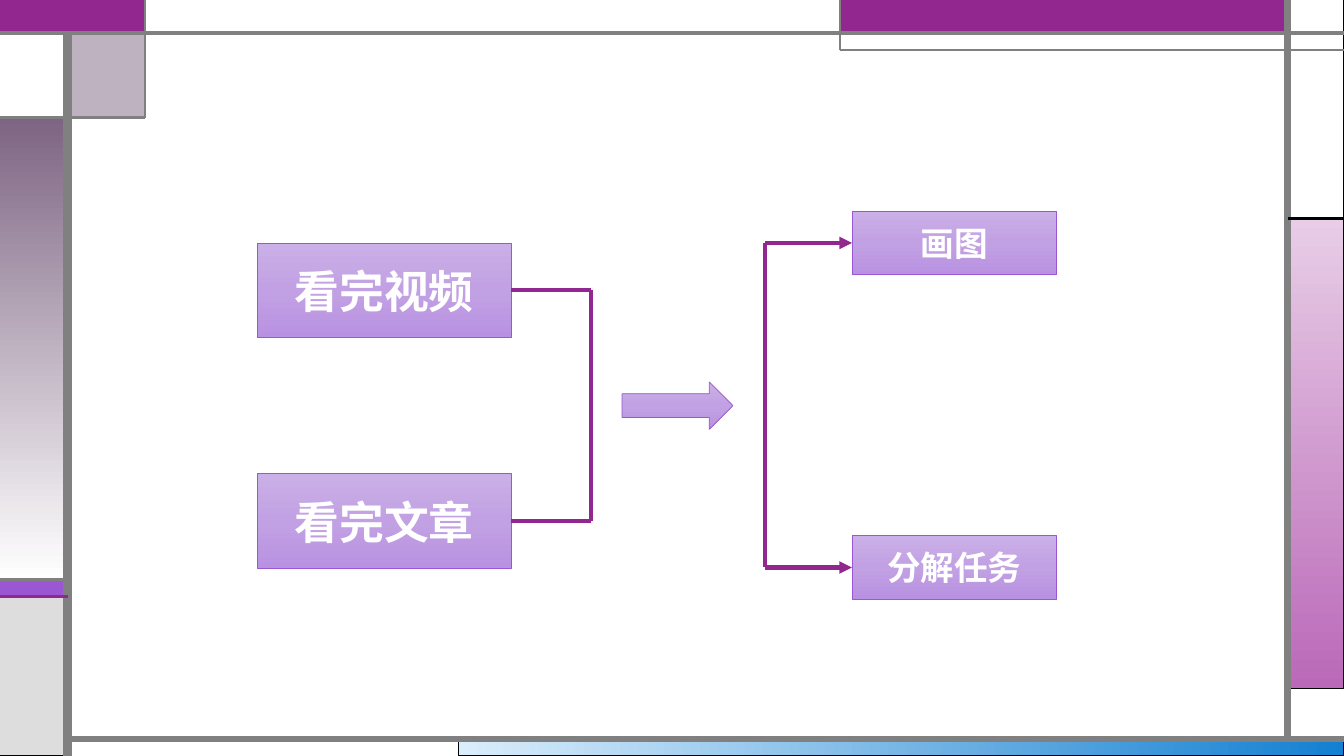
from copy import deepcopy
from dataclasses import dataclass

from lxml.etree import SubElement
from pptx import Presentation
from pptx.dml.color import RGBColor
from pptx.enum.shapes import MSO_CONNECTOR as Connector, MSO_SHAPE as Preset
from pptx.enum.text import MSO_ANCHOR as Anchor, PP_ALIGN as Align
from pptx.oxml.ns import qn
from pptx.util import Inches, Pt

FONT = "TeX Gyre Adventor"
PURPLE, GRAY, WHITE, BLACK = "92278F", "808080", "FFFFFF", "000000"
LILAC = ("CBAFE8", "C1A1E3", "B991E3")
LILAC_EDGE = "9B57D3"
WIDTH, HEIGHT = 13.33, 7.5

# Grid of the frame
LEFT_BAR, RIGHT_BAR, TOP_BAR, BOTTOM_BAR = 0.67, 12.77, 0.33, 7.33
CORNER_X, CORNER_Y, BANNER_X = 1.44, 1.17, 8.33
BAND_TOP, BAND_BOTTOM, PANEL_TOP = 5.75, 5.92, 2.17


@dataclass
class Block:
    """A filled preset shape, given by its edges; several colours form a gradient."""
    left: float
    top: float
    right: float
    bottom: float
    colors: tuple[str, ...]
    edge: str = BLACK
    edge_width: float = 0.75
    angle: int = 270
    alpha: int = 100
    preset: Preset = Preset.RECTANGLE


@dataclass
class Rule:
    """A straight line, with an optional arrowhead at its end."""
    x1: float
    y1: float
    x2: float
    y2: float
    color: str = GRAY
    width: float = 3
    arrow: bool = False


@dataclass
class Step:
    """A labelled box of the flow, placed by its vertical centre."""
    label: str
    left: float
    middle: float
    width: float
    height: float
    size: int


def rgb(color: str) -> RGBColor:
    """Turn a hex string into a colour."""
    return RGBColor.from_string(color)


def paint(shape, block: Block) -> None:
    """Fill a shape with a solid colour or an even gradient."""
    fill = shape.fill
    if len(block.colors) == 1:
        fill.solid()
        fill.fore_color.rgb = rgb(block.colors[0])
        if block.alpha < 100:
            color = next(shape._element.spPr.iter(qn("a:srgbClr")))
            SubElement(color, qn("a:alpha"), val=str(block.alpha * 1000))
        return
    fill.gradient()
    fill.gradient_angle = block.angle
    stop_list = next(shape._element.spPr.iter(qn("a:gsLst")))
    for _ in block.colors[2:]:
        stop_list.append(deepcopy(stop_list[0]))
    for index, (stop, color) in enumerate(zip(fill.gradient_stops, block.colors)):
        stop.color.rgb = rgb(color)
        stop.position = index / (len(block.colors) - 1)


def draw_block(slide, block: Block):
    """Draw a block and return its shape."""
    shape = slide.shapes.add_shape(
        block.preset, Inches(block.left), Inches(block.top),
        Inches(block.right - block.left), Inches(block.bottom - block.top))
    shape.shadow.inherit = False
    paint(shape, block)
    shape.line.color.rgb = rgb(block.edge)
    shape.line.width = Pt(block.edge_width)
    return shape


def draw_rule(slide, rule: Rule) -> None:
    """Draw a line or an arrow."""
    line = slide.shapes.add_connector(
        Connector.STRAIGHT, Inches(rule.x1), Inches(rule.y1),
        Inches(rule.x2), Inches(rule.y2))
    line.line.color.rgb = rgb(rule.color)
    line.line.width = Pt(rule.width)
    if rule.arrow:
        SubElement(line.line._get_or_add_ln(), qn("a:tailEnd"), type="triangle")
    SubElement(line._element.spPr, qn("a:effectLst"))


def draw_step(slide, step: Step) -> None:
    """Draw a lilac box with its label."""
    half = step.height / 2
    box = draw_block(slide, Block(
        step.left, step.middle - half, step.left + step.width,
        step.middle + half, LILAC, LILAC_EDGE, 0.5))
    frame = box.text_frame
    frame.word_wrap = True
    frame.vertical_anchor = Anchor.MIDDLE
    paragraph = frame.paragraphs[0]
    paragraph.text = step.label
    paragraph.alignment = Align.CENTER
    font = paragraph.font
    font.name, font.size, font.bold = FONT, Pt(step.size), True
    font.color.rgb = rgb(WHITE)


FRAME_BLOCKS = [
    Block(4.55, BOTTOM_BAR, WIDTH, HEIGHT, ("DAEDFB", "1480D1"), angle=0),
    Block(RIGHT_BAR, PANEL_TOP, WIDTH, 6.83, ("E8CDE7", "BA69B8")),
    Block(0, BAND_TOP, LEFT_BAR, BAND_BOTTOM, (LILAC_EDGE,)),
    Block(0, BAND_BOTTOM, LEFT_BAR, HEIGHT, ("DDDDDD",)),
    Block(RIGHT_BAR, 0, WIDTH, PANEL_TOP, (WHITE,)),
    Block(BANNER_X, 0, RIGHT_BAR, TOP_BAR, (PURPLE,), "755DD9"),
    Block(LEFT_BAR, TOP_BAR, CORNER_X, CORNER_Y, ("7E6583",), alpha=50),
    Block(0, CORNER_Y, LEFT_BAR, BAND_TOP, ("7E6583", WHITE)),
    Block(0, TOP_BAR, LEFT_BAR, CORNER_Y, (WHITE,)),
    Block(0, 0, CORNER_X, TOP_BAR, (PURPLE,), PURPLE, 1.5),
    Block(CORNER_X, 0, BANNER_X, TOP_BAR, (WHITE,), GRAY),
]
FRAME_RULES = [
    Rule(LEFT_BAR, HEIGHT, LEFT_BAR, TOP_BAR, width=6),
    Rule(LEFT_BAR, BOTTOM_BAR, WIDTH, BOTTOM_BAR, width=4.5),
    Rule(RIGHT_BAR, BOTTOM_BAR, RIGHT_BAR, 0, width=4.5),
    Rule(0, TOP_BAR, WIDTH, TOP_BAR),
    Rule(WIDTH, 0.5, BANNER_X, 0.5, width=1.5),
    Rule(BANNER_X, 0.5, BANNER_X, 0, width=1.5),
    Rule(RIGHT_BAR, PANEL_TOP, WIDTH, PANEL_TOP, BLACK, 2.25),
    Rule(CORNER_X, 0, CORNER_X, CORNER_Y, width=1.5),
    Rule(CORNER_X, CORNER_Y, 0, CORNER_Y, width=2.25),
    Rule(LEFT_BAR, BAND_TOP, 0, BAND_TOP, width=2.25),
    Rule(LEFT_BAR, BAND_BOTTOM, 0, BAND_BOTTOM, PURPLE, 2.25),
]
INPUTS = [Step(label, 2.55, middle, 2.52, 0.94, 32)
          for label, middle in (("看完视频", 2.88), ("看完文章", 5.17))]
OUTPUTS = [Step(label, 8.45, middle, 2.03, 0.63, 24)
           for label, middle in (("画图", 2.41), ("分解任务", 5.63))]
FLOW_ARROW = Block(6.17, 3.79, 7.27, 4.26, LILAC, LILAC_EDGE, 0.5,
                   preset=Preset.RIGHT_ARROW)


def draw_bracket(slide, steps: list[Step], spine: float, arrow: bool) -> None:
    """Join steps to an upright spine, with arrows when the spine leads to them."""
    draw_rule(slide, Rule(spine, steps[0].middle, spine, steps[-1].middle, PURPLE))
    for step in steps:
        ends = (spine, step.left) if arrow else (step.left + step.width, spine)
        draw_rule(slide, Rule(ends[0], step.middle, ends[1], step.middle,
                              PURPLE, arrow=arrow))


def main() -> None:
    """Build and save the slide."""
    deck = Presentation()
    deck.slide_width, deck.slide_height = Inches(WIDTH), Inches(HEIGHT)
    slide = deck.slides.add_slide(deck.slide_layouts[6])
    for block in FRAME_BLOCKS:
        draw_block(slide, block)
    for rule in FRAME_RULES:
        draw_rule(slide, rule)
    for step in INPUTS + OUTPUTS:
        draw_step(slide, step)
    draw_bracket(slide, INPUTS, 5.86, arrow=False)
    draw_block(slide, FLOW_ARROW)
    draw_bracket(slide, OUTPUTS, 7.59, arrow=True)
    deck.save("out.pptx")


main()
